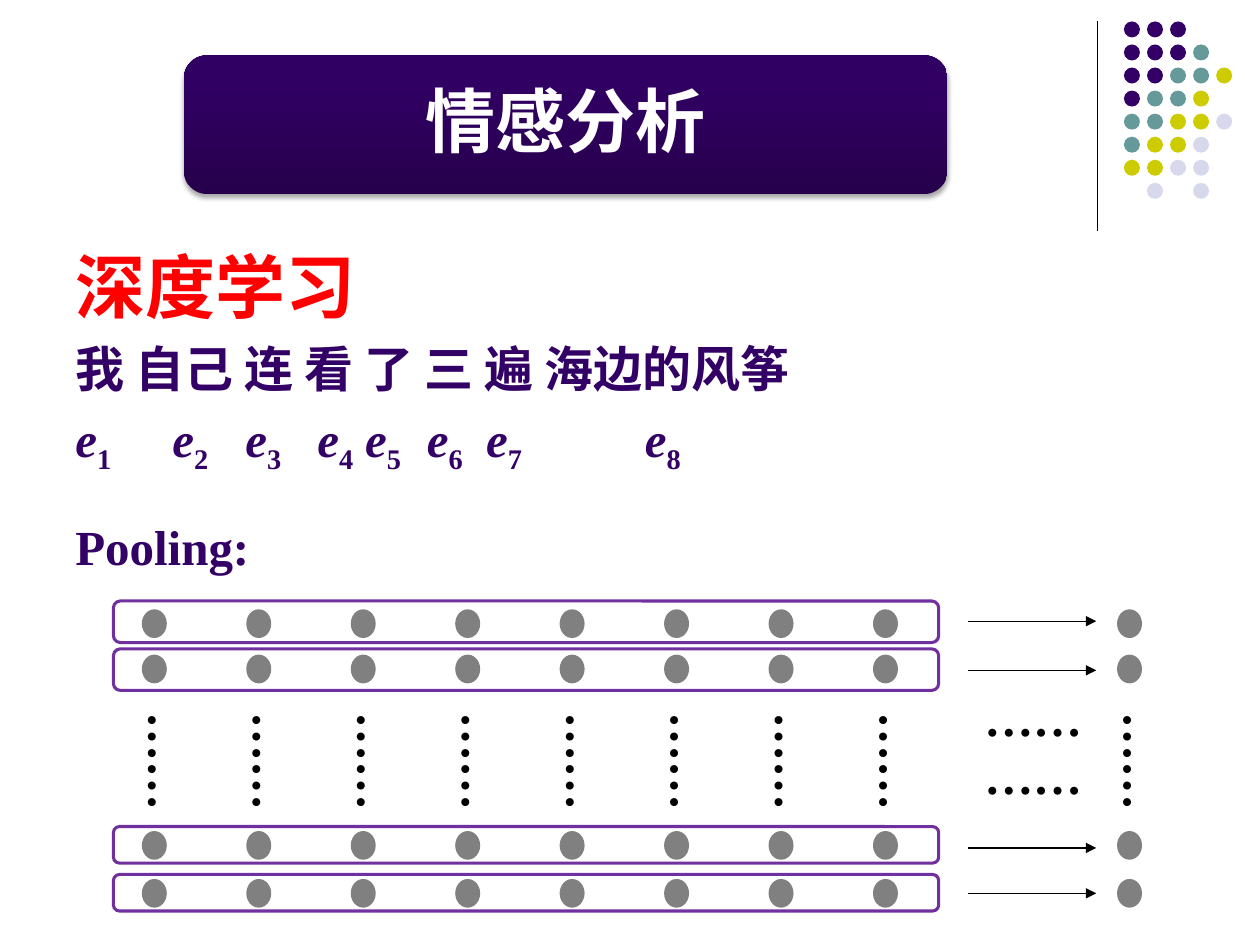
from dataclasses import dataclass
from typing import NamedTuple

from lxml.etree import SubElement
from pptx import Presentation
from pptx.dml.color import RGBColor
from pptx.enum.shapes import MSO_CONNECTOR, MSO_SHAPE
from pptx.enum.text import MSO_ANCHOR, PP_ALIGN
from pptx.oxml.ns import qn
from pptx.util import Inches, Pt

# The slide is a grid of 100 columns by 75 rows of square cells
WIDTH, HEIGHT = Inches(10), Inches(7.5)
CELL = WIDTH / 100


@dataclass(frozen=True)
class Theme:
    font: str = "Times New Roman"
    indigo: str = "330066"
    teal: str = "669999"
    lime: str = "CCCC00"
    lilac: str = "D8D8EC"
    banner_top: str = "310063"
    banner_bottom: str = "26004C"
    heading: str = "FF0000"
    neuron: str = "808080"
    frame: str = "7030A0"
    black: str = "000000"
    white: str = "FFFFFF"
    large: int = 40
    medium: int = 28
    thin: float = 0.75


class Box(NamedTuple):
    col: float
    row: float
    cols: float
    rows: float


class PoolRow(NamedTuple):
    neuron_top: float
    frame_top: float
    frame_rows: float
    arrow_row: float


class Embedding(NamedTuple):
    index: str
    tab: float  # columns from the left of the text


THEME = Theme()
POOL_ROWS = [
    PoolRow(48.5, 47.7, 3.3, 49.3),
    PoolRow(52.1, 51.5, 3.3, 53.2),
    PoolRow(66.1, 65.6, 2.9, 67.3),
    PoolRow(69.9, 69.4, 2.9, 70.9),
]
EMBEDDINGS = [
    Embedding("1", 0), Embedding("2", 7.7), Embedding("3", 13.5), Embedding("4", 19.2),
    Embedding("5", 23), Embedding("6", 27.9), Embedding("7", 32.6), Embedding("8", 45.2),
]
ORNAMENT = ["III", "IIIT", "IITTL", "ITTL", "TTLLP", "TLLP", "LLPP", " P P"]
ORNAMENT_COLOURS = {"I": THEME.indigo, "T": THEME.teal, "L": THEME.lime, "P": THEME.lilac}
INPUT_COLUMNS = [11.4 + 8.29 * i for i in range(8)]
OUTPUT_COLUMN = 88.8


def cells(count: float) -> int:
    return round(count * CELL)


def rgb(colour: str) -> RGBColor:
    return RGBColor.from_string(colour)


def add_preset(slide, kind, box: Box, fill=None, line=None, line_width: float = 0):
    shape = slide.shapes.add_shape(kind, *map(cells, box))
    shape.shadow.inherit = False
    if fill:
        shape.fill.solid()
        shape.fill.fore_color.rgb = rgb(fill)
    else:
        shape.fill.background()
    if line:
        shape.line.color.rgb = rgb(line)
        shape.line.width = Pt(line_width)
    else:
        shape.line.fill.background()
    return shape


def add_line(slide, start: tuple, end: tuple, arrow: bool = False) -> None:
    line = slide.shapes.add_connector(MSO_CONNECTOR.STRAIGHT, *map(cells, start + end))
    line.line.color.rgb = rgb(THEME.black)
    line.line.width = Pt(THEME.thin)
    if arrow:
        SubElement(line.line._get_or_add_ln(), qn("a:tailEnd"), type="triangle")
    SubElement(line._element.spPr, qn("a:effectLst"))


def add_text_box(slide, box: Box):
    frame = slide.shapes.add_textbox(*map(cells, box))
    frame.text_frame.word_wrap = True
    return frame


def style(paragraph, size: int, colour: str, align=None) -> None:
    paragraph.alignment = align
    font = paragraph.font
    font.name, font.size, font.bold = THEME.font, Pt(size), True
    font.color.rgb = rgb(colour)


def add_ellipsis(slide, box: Box, lines: int = 1, rotation: float = 0) -> None:
    dots = add_text_box(slide, box)
    dots.rotation = rotation
    frame = dots.text_frame
    frame.vertical_anchor = MSO_ANCHOR.MIDDLE
    frame.text = "\n".join(["……"] * lines)
    for paragraph in frame.paragraphs:
        style(paragraph, THEME.medium, THEME.black, PP_ALIGN.CENTER)


def draw_ornament(slide) -> None:
    add_line(slide, (87.1, 1.7), (87.1, 18.3))
    for r, pattern in enumerate(ORNAMENT):
        for c, key in enumerate(pattern):
            if key in ORNAMENT_COLOURS:
                dot = Box(89.2 + 1.83 * c, 1.7 + 1.83 * r, 1.27, 1.27)
                add_preset(slide, MSO_SHAPE.OVAL, dot, ORNAMENT_COLOURS[key])


def draw_banner(slide) -> None:
    banner = add_preset(slide, MSO_SHAPE.ROUNDED_RECTANGLE, Box(14.6, 4.4, 60.6, 11))
    banner.fill.gradient()
    banner.fill.gradient_angle = 90
    bottom, top = banner.fill.gradient_stops
    bottom.color.rgb, top.color.rgb = rgb(THEME.banner_bottom), rgb(THEME.banner_top)
    bottom.position, top.position = 0, 0.8

    effects = banner._element.spPr.find(qn("a:effectLst"))
    shadow = SubElement(effects, qn("a:outerShdw"), blurRad=str(Pt(3.1)), dist=str(Pt(1.8)),
                        dir="5400000", rotWithShape="0")
    shade = SubElement(shadow, qn("a:srgbClr"), val=THEME.black)
    SubElement(shade, qn("a:alpha"), val="35000")

    frame = banner.text_frame
    frame.vertical_anchor = MSO_ANCHOR.MIDDLE
    title = frame.paragraphs[0]
    title.text, title.line_spacing = "情感分析", 0.9
    style(title, THEME.large, THEME.white, PP_ALIGN.CENTER)


def draw_body(slide) -> None:
    frame = add_text_box(slide, Box(5, 18.8, 90, 28)).text_frame
    frame.text = "深度学习\n我 自己 连 看 了 三 遍 海边的风筝\n\nPooling:"
    heading, sentence, vectors, pooling = frame.paragraphs

    # Embeddings stand under their words at tab stops
    tabs = SubElement(vectors._p.get_or_add_pPr(), qn("a:tabLst"))
    for index, tab in EMBEDDINGS:
        if tab:
            SubElement(tabs, qn("a:tab"), pos=str(cells(tab)), algn="l")
        symbol = vectors.add_run()
        symbol.text = "\te" if tab else "e"
        symbol.font.italic = True
        subscript = vectors.add_run()
        subscript.text = index
        subscript._r.get_or_add_rPr().set("baseline", "-25000")

    style(heading, THEME.large, THEME.heading)
    for paragraph, gap in ((sentence, 6.5), (vectors, 6.5), (pooling, 23.5)):
        paragraph.space_before = Pt(gap)
        style(paragraph, THEME.medium, THEME.indigo)


def draw_pooling(slide) -> None:
    # Input vectors and the pooled vector
    for column in INPUT_COLUMNS + [OUTPUT_COLUMN]:
        for row in POOL_ROWS:
            add_preset(slide, MSO_SHAPE.OVAL, Box(column, row.neuron_top, 1.7, 2),
                       THEME.neuron, THEME.neuron, 2)
        add_ellipsis(slide, Box(column - 3.15, 59.4, 10.2, 2), rotation=90)

    # Each dimension is pooled across all words
    for row in POOL_ROWS:
        add_preset(slide, MSO_SHAPE.ROUNDED_RECTANGLE, Box(9, row.frame_top, 65.5, row.frame_rows),
                   line=THEME.frame, line_width=1.75)
        add_line(slide, (76.8, row.arrow_row), (87, row.arrow_row), arrow=True)
    add_ellipsis(slide, Box(76.9, 55.6, 10.2, 7.2), lines=2)


def main() -> None:
    deck = Presentation()
    deck.slide_width, deck.slide_height = WIDTH, HEIGHT
    slide = deck.slides.add_slide(deck.slide_layouts[6])
    draw_ornament(slide)
    draw_body(slide)
    draw_banner(slide)
    draw_pooling(slide)
    deck.save("out.pptx")


if __name__ == "__main__":
    main()
